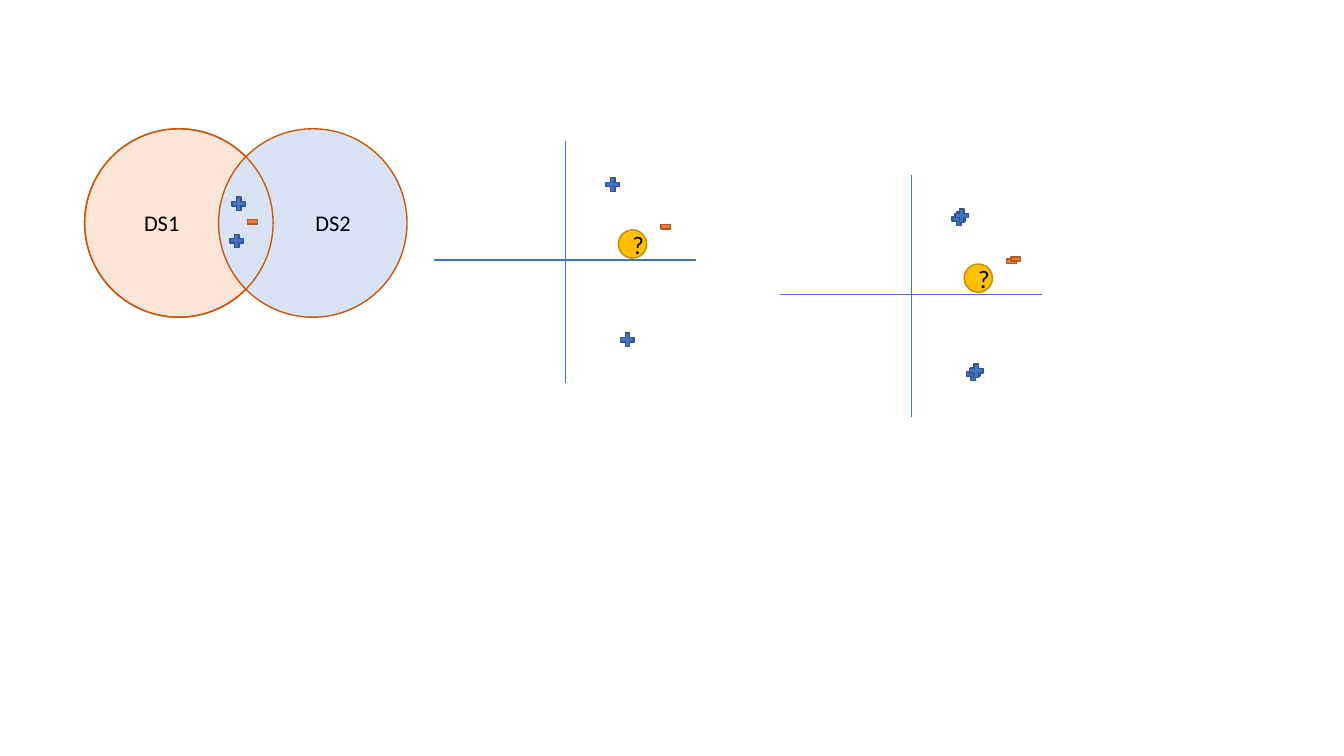
from lxml import etree
from pptx import Presentation
from pptx.dml.color import RGBColor
from pptx.enum.shapes import MSO_CONNECTOR, MSO_SHAPE as Preset
from pptx.enum.text import MSO_ANCHOR, MSO_AUTO_SIZE, PP_ALIGN
from pptx.oxml.ns import qn
from pptx.util import Pt

BLACK = RGBColor(0x00, 0x00, 0x00)
BLUE = RGBColor(0x44, 0x72, 0xC4)
BLUE_EDGE = RGBColor(0x32, 0x54, 0x91)
ORANGE = RGBColor(0xED, 0x7D, 0x31)
ORANGE_EDGE = RGBColor(0xAF, 0x5C, 0x24)
GOLD = RGBColor(0xFF, 0xC0, 0x00)
GOLD_EDGE = RGBColor(0xBD, 0x8E, 0x00)
PEACH = RGBColor(0xFB, 0xE5, 0xD6)
PALE_BLUE = RGBColor(0xDA, 0xE3, 0xF3)
RUST = RGBColor(0xC5, 0x5A, 0x11)

FONT = "Calibri"
LINE_WIDTH = 1
SET_SIZE = 134.6
MARK_SIZE = 13
MINUS_WIDTH = 9.4
QUERY_SIZE = 20.2


class Diagram:
    """Draws on the slide; lengths are in points."""

    def __init__(self, slide):
        self.slide = slide
        self.shapes = slide.shapes

    def shape(self, preset, left, top, width, height, fill, edge):
        shape = self.shapes.add_shape(preset, Pt(left), Pt(top), Pt(width), Pt(height))
        shape.shadow.inherit = False
        if fill is None:
            shape.fill.background()
        else:
            shape.fill.solid()
            shape.fill.fore_color.rgb = fill
        shape.line.color.rgb = edge
        shape.line.width = Pt(LINE_WIDTH)
        return shape

    def plus(self, left, top):
        self.shape(Preset.MATH_PLUS, left, top, MARK_SIZE, MARK_SIZE, BLUE, BLUE_EDGE)

    def minus(self, left, top):
        self.shape(Preset.MATH_MINUS, left, top, MINUS_WIDTH, MARK_SIZE, ORANGE, ORANGE_EDGE)

    def circle(self, left, top, size, fill, edge):
        return self.shape(Preset.OVAL, left, top, size, size, fill, edge)

    def text(self, frame, words, size):
        paragraph = frame.paragraphs[0]
        paragraph.text = words
        paragraph.font.name = FONT
        paragraph.font.size = Pt(size)
        paragraph.font.color.rgb = BLACK
        return paragraph

    def label(self, words, left, top):
        box = self.shapes.add_textbox(Pt(left), Pt(top), Pt(44), Pt(26.6))
        frame = box.text_frame
        frame.word_wrap = True
        frame.auto_size = MSO_AUTO_SIZE.SHAPE_TO_FIT_TEXT
        self.text(frame, words, 16)

    def query(self, left, top):
        """Draw the unknown point, marked with a question mark."""
        circle = self.circle(left, top, QUERY_SIZE, GOLD, GOLD_EDGE)
        circle.text_frame.vertical_anchor = MSO_ANCHOR.MIDDLE
        self.text(circle.text_frame, "?", 18).alignment = PP_ALIGN.CENTER

    def axis(self, *ends):
        line = self.shapes.add_connector(MSO_CONNECTOR.STRAIGHT, *map(Pt, ends))
        line.line.color.rgb = BLUE
        line.line.width = Pt(LINE_WIDTH)
        etree.SubElement(line._element.spPr, qn("a:effectLst"))

    def plot(self, x, y, doubled=False):
        """Draw a grouped plot with its axes crossing at x, y."""
        self.shapes = self.slide.shapes.add_group_shape().shapes
        self.plus(x + 27.4, y - 60.5)
        self.axis(x, y - 85, x, y + 88)
        self.axis(x + 93.6, y, x - 93.6, y)
        self.plus(x + 37.8, y + 50.4)
        self.minus(x + 67, y - 30.2)
        self.query(x + 37.8, y - 21.6)
        if doubled:
            self.plus(x + 29.6, y - 62.7)
            self.minus(x + 69.9, y - 31.7)
            self.plus(x + 40, y + 48.2)
        self.shapes = self.slide.shapes


def main():
    presentation = Presentation()
    presentation.slide_width = Pt(960)
    presentation.slide_height = Pt(540)
    diagram = Diagram(presentation.slides.add_slide(presentation.slide_layouts[6]))

    for left, fill in ((60.5, PEACH), (156.2, PALE_BLUE), (60.5, None)):
        diagram.circle(left, 92, SET_SIZE, fill, RUST)
    diagram.label("DS1", 95.8, 145.5)
    diagram.label("DS2", 218.2, 146)
    diagram.plus(164, 139)
    diagram.plus(162.7, 165.6)
    diagram.minus(175.7, 152)

    diagram.plot(403.9, 185.8)
    diagram.plot(650.9, 210.2, doubled=True)
    presentation.save("out.pptx")


if __name__ == "__main__":
    main()
